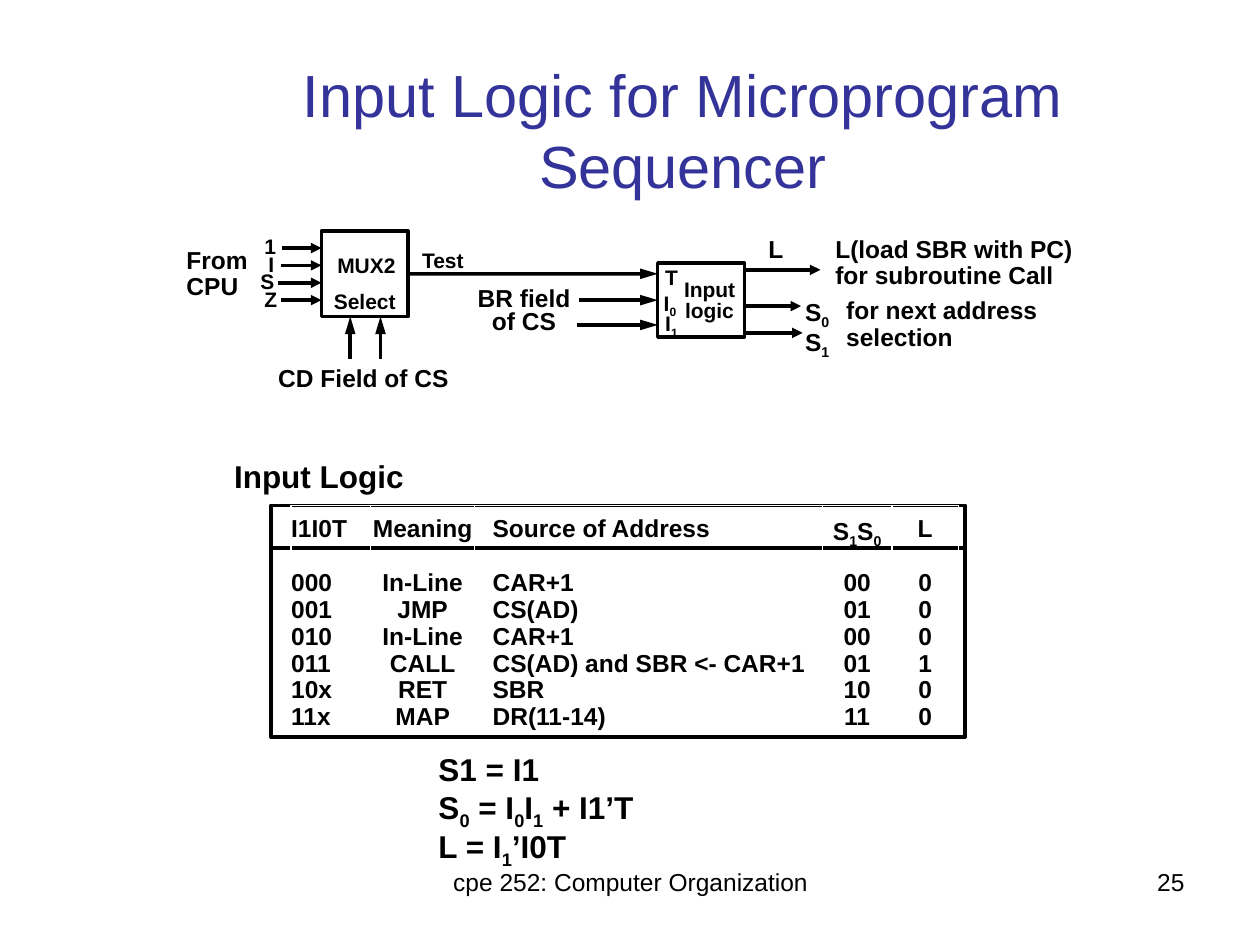
from lxml.etree import SubElement
from pptx import Presentation
from pptx.dml.color import RGBColor
from pptx.enum.shapes import MSO_CONNECTOR, MSO_SHAPE
from pptx.enum.text import MSO_ANCHOR, MSO_AUTO_SIZE, PP_ALIGN
from pptx.oxml.ns import qn
from pptx.util import Cm, Pt

BLACK = RGBColor(0x00, 0x00, 0x00)
NAVY = RGBColor(0x33, 0x33, 0x99)
LEFT, CENTER, RIGHT = PP_ALIGN.LEFT, PP_ALIGN.CENTER, PP_ALIGN.RIGHT


def write(paragraph, text, size, bold=True, color=BLACK):
    first, *rest = text.split("_")
    pieces = [(first, False)]
    for part in rest:
        pieces += [(part[0], True), (part[1:], False)]
    for piece, subscript in pieces:
        if not piece:
            continue
        run = paragraph.add_run()
        run.text = piece
        for key, value in {"name": "Arial", "size": Pt(size), "bold": bold}.items():
            setattr(run.font, key, value)
        run.font.color.rgb = color
        if subscript:
            run.font._element.set("baseline", "-25000")


def label(text, left, top, width, height, size=12, align=LEFT,
          spacing=0.9, wrap=False, bold=True):
    frame = slide.shapes.add_textbox(Cm(left), Cm(top), Cm(width), Cm(height)).text_frame
    frame.word_wrap = wrap
    frame.auto_size = MSO_AUTO_SIZE.NONE if wrap else MSO_AUTO_SIZE.SHAPE_TO_FIT_TEXT
    for number, line in enumerate(text.split("\n")):
        paragraph = frame.add_paragraph() if number else frame.paragraphs[0]
        paragraph.alignment = align
        paragraph.line_spacing = spacing
        write(paragraph, line, size, bold)


deck = Presentation()
deck.slide_width, deck.slide_height = Cm(25.4), Cm(19.05)
slide = deck.slides.add_slide(deck.slide_layouts[5])

title = slide.shapes.title
title_place = {"left": 2.97, "top": 1.47, "width": 21.59, "height": 2.26}
for key, value in title_place.items():
    setattr(title, key, Cm(value))
title.text_frame.auto_size = MSO_AUTO_SIZE.NONE
title.text_frame.vertical_anchor = MSO_ANCHOR.MIDDLE
title.text_frame.paragraphs[0].alignment = CENTER
write(title.text_frame.paragraphs[0], "Input Logic for Microprogram Sequencer", 34, False, NAVY)

label("cpe 252: Computer Organization", 8.69, 17.35, 8.05, 1.32, 14, CENTER, 1, True, False)
label("25", 18.21, 17.35, 5.92, 1.32, 14, RIGHT, 1, True, False)

boxes = []
for left, top, width, height in [(6.48, 4.66, 1.75, 1.72),
                                 (13.26, 5.3, 1.75, 1.5),
                                 (5.46, 10.19, 14, 4.67)]:
    box = slide.shapes.add_shape(MSO_SHAPE.RECTANGLE, Cm(left), Cm(top), Cm(width), Cm(height))
    box.shadow.inherit = False
    box.fill.background()
    box.line.color.rgb = BLACK
    box.line.width = Pt(2)
    boxes.append(box)
mux, logic, table_frame = boxes

wires = [
    (8.23, 5.52, 13.26, 5.52, "lg", mux, None),
    (11.68, 6.05, 13.26, 6.05, "lg", None, logic),
    (11.63, 6.55, 13.26, 6.55, "lg", None, None),
    (15.01, 5.44, 16.54, 5.44, "med", None, None),
    (15.01, 6.17, 16.15, 6.17, "med", None, None),
    (15.01, 6.71, 16.18, 6.71, "med", None, None),
    (7.06, 7.24, 7.06, 6.38, "lg", None, None),
    (7.67, 7.24, 7.67, 6.38, "lg", None, None),
    (5.46, 11.05, 19.46, 11.05, None, None, None),
]
for number, (source, start, left) in enumerate(
        [("1", 5.69, 5.08), ("I", 5.66, 5.16), ("S", 5.61, 5), ("Z", 5.66, 5.08)]):
    level = 5 + 0.35 * number
    label(source, left, level - 0.35, 0.75, 0.71)
    wires.append((start, level, 6.48, level, "med", None, None))

for x1, y1, x2, y2, head, origin, target in wires:
    wire = slide.shapes.add_connector(MSO_CONNECTOR.STRAIGHT, Cm(x1), Cm(y1), Cm(x2), Cm(y2))
    wire.line.color.rgb = BLACK
    wire.line.width = Pt(2)
    if head:
        SubElement(wire.line._get_or_add_ln(), qn("a:tailEnd"), type="triangle", w="med", len=head)
    SubElement(wire._element.spPr, qn("a:effectLst"))
    if origin:
        wire.begin_connect(origin, 3)
    if target:
        wire.end_connect(target, 1)

for text, left, top, width in [
    ("MUX2", 6.55, 5.03, 1.68), ("Select", 6.48, 5.74, 1.75), ("Test", 8.26, 4.93, 1.37),
    ("T", 13.16, 5.26, 0.76), ("I_0", 13.13, 5.74, 0.76), ("I_1", 13.16, 6.15, 0.79),
    ("Input", 13.54, 5.51, 1.55), ("logic", 13.56, 5.94, 1.5),
]:
    label(text, left, top, width, 0.71)

label("From\nCPU", 3.51, 4.88, 1.88, 1.32, 14)
label("CD Field of CS", 5.36, 7.26, 3.94, 0.79, 14, CENTER)
label("BR field\nof CS", 9.37, 5.69, 2.39, 1.19, 14, CENTER, 0.8)
label("L", 15.24, 4.65, 0.81, 0.79, 14)
label("L(load SBR with PC) for subroutine Call", 16.59, 4.65, 5.64, 1.32, 14, wrap=True)
label("S_0\nS_1", 15.98, 5.87, 0.99, 1.47, 14)
label("for next address\nselection", 16.81, 5.89, 4.37, 1.32, 14)
label("Input Logic", 4.47, 9.17, 3.94, 0.94, 18)
label("S1 = I1\nS_0 = I_0I_1 + I1’T\nL = I_1’I0T", 8.59, 15.09, 4.45, 2.49, 18)

rows = [
    ("I1I0T", "Meaning", "Source of Address", "S_1S_0", "L"),
    ("000", "In-Line", "CAR+1", "00", "0"),
    ("001", "JMP", "CS(AD)", "01", "0"),
    ("010", "In-Line", "CAR+1", "00", "0"),
    ("011", "CALL", "CS(AD) and SBR <- CAR+1", "01", "1"),
    ("10x", "RET", "SBR", "10", "0"),
    ("11x", "MAP", "DR(11-14)", "11", "0"),
]
columns = [(1.6, LEFT, 0), (2.1, CENTER, 0), (7.01, LEFT, 0.36), (1.4, CENTER, 0), (1.34, CENTER, 0)]
header_height, row_height = 1.32, 0.54
truth_table = slide.shapes.add_table(
    len(rows), len(columns), Cm(5.87), Cm(10.19), Cm(sum(column[0] for column in columns)),
    Cm(header_height + row_height * (len(rows) - 1))).table
truth_table.first_row = truth_table.horz_banding = False
for column, (width, _, _) in zip(truth_table.columns, columns):
    column.width = Cm(width)
for r, row in enumerate(rows):
    truth_table.rows[r].height = Cm(row_height if r else header_height)
    for c, (text, (_, align, indent)) in enumerate(zip(row, columns)):
        cell = truth_table.cell(r, c)
        cell.fill.background()
        cell_format = {
            "margin_left": Cm(indent), "margin_right": 0, "margin_bottom": 0,
            "margin_top": 0 if r else Cm(0.25),
            "vertical_anchor": MSO_ANCHOR.MIDDLE if r else MSO_ANCHOR.TOP,
        }
        for key, value in cell_format.items():
            setattr(cell, key, value)
        paragraph = cell.text_frame.paragraphs[0]
        paragraph.alignment = align
        paragraph.line_spacing = 0.9
        write(paragraph, text, 14)

deck.save("out.pptx")
